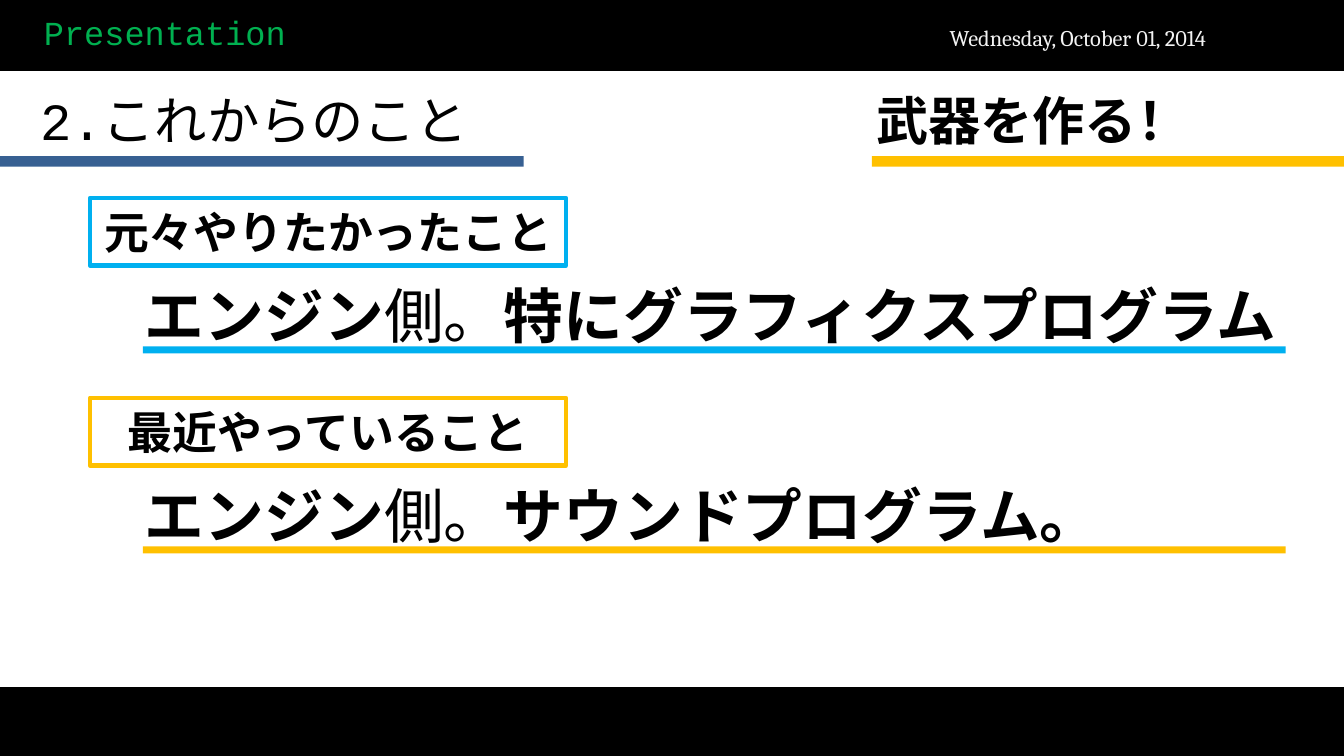
from dataclasses import dataclass

from pptx import Presentation
from pptx.dml.color import RGBColor
from pptx.enum.shapes import MSO_SHAPE as Preset
from pptx.enum.text import MSO_ANCHOR as Anchor, PP_ALIGN as Align
from pptx.util import Cm, Pt

COLORS = {
    "black": "000000",
    "green": "00B050",
    "pale": "F2F2F2",
    "navy": "376092",
    "amber": "FFC000",
    "sky": "00B0F0",
}
SLIDE_WIDTH, SLIDE_HEIGHT = 25.4, 14.29
BAND_HEIGHT = 1.27


@dataclass(frozen=True)
class Box:
    """Position and size in centimetres."""
    left: float
    top: float
    width: float
    height: float

    def lengths(self) -> list:
        return [Cm(value) for value in (self.left, self.top, self.width, self.height)]


@dataclass(frozen=True)
class Run:
    text: str
    size: float
    color: str = "black"
    bold: bool = False
    font: str = "Courier New"


@dataclass(frozen=True)
class Heading:
    run: Run
    text_box: Box
    bar: Box
    color: str


@dataclass(frozen=True)
class Topic:
    top: float
    color: str
    label: str
    detail: str


HEADINGS = [
    Heading(Run("2.これからのこと", 28), Box(0.51, 1.55, 9.4, 1.42),
            Box(0, 2.95, 9.9, 0.2), "navy"),
    Heading(Run("武器を作る！", 28, bold=True), Box(16.31, 1.55, 9.09, 1.42),
            Box(16.48, 2.95, 8.92, 0.2), "amber"),
]
TOPICS = [
    Topic(3.74, "sky", "元々やりたかったこと", "特にグラフィクスプログラム"),
    Topic(7.52, "amber", "最近やっていること", "サウンドプログラム。"),
]


def rgb(name: str) -> RGBColor:
    return RGBColor.from_string(COLORS[name])


def write(shape, runs: list[Run], anchor=Anchor.TOP, align=Align.LEFT) -> None:
    frame = shape.text_frame
    frame.word_wrap = True
    frame.vertical_anchor = anchor
    paragraph = frame.paragraphs[0]
    paragraph.alignment = align
    for item in runs:
        run = paragraph.add_run()
        run.text = item.text
        run.font.name = item.font
        run.font.size = Pt(item.size)
        run.font.bold = item.bold
        run.font.color.rgb = rgb(item.color)


def add_text(slide, box: Box, runs: list[Run], anchor=Anchor.TOP) -> None:
    write(slide.shapes.add_textbox(*box.lengths()), runs, anchor)


def add_rectangle(slide, box: Box, fill: str = "", line: str = "", weight: float = 0):
    shape = slide.shapes.add_shape(Preset.RECTANGLE, *box.lengths())
    shape.shadow.inherit = False
    if fill:
        shape.fill.solid()
        shape.fill.fore_color.rgb = rgb(fill)
    else:
        shape.fill.background()
    if line:
        shape.line.color.rgb = rgb(line)
        shape.line.width = Pt(weight)
    else:
        shape.line.fill.background()
    return shape


def add_heading(slide, heading: Heading) -> None:
    add_rectangle(slide, heading.bar, heading.color)
    add_text(slide, heading.text_box, [heading.run], Anchor.MIDDLE)


def add_topic(slide, topic: Topic) -> None:
    label = add_rectangle(slide, Box(1.7, topic.top, 9, 1.28), line=topic.color, weight=2.25)
    write(label, [Run(topic.label, 24, bold=True)], align=Align.CENTER)
    add_text(slide, Box(2.49, topic.top + 1.41, 22.2, 1.62), [
        Run("エンジン", 32, bold=True),
        Run("側。", 32),
        Run(topic.detail, 32, bold=True),
    ])
    add_rectangle(slide, Box(2.7, topic.top + 2.81, 21.6, 0.13), topic.color)


def main() -> None:
    presentation = Presentation()
    presentation.slide_width = Cm(SLIDE_WIDTH)
    presentation.slide_height = Cm(SLIDE_HEIGHT)
    slide = presentation.slides.add_slide(presentation.slide_layouts[6])

    # Black bands at the top and bottom
    for top in (0.03, SLIDE_HEIGHT - BAND_HEIGHT):
        add_rectangle(slide, Box(0, top, SLIDE_WIDTH, BAND_HEIGHT), "black", "black", 2)

    # Deck name and date
    add_text(slide, Box(0.58, 0.1, 7.32, 1.02), [Run("Presentation", 18, "green")])
    add_text(slide, Box(17.7, 0.33, 6.81, 0.76),
             [Run("Wednesday, October 01, 2014", 12, "pale", font="Cambria")], Anchor.MIDDLE)

    # Underlined headings
    for heading in HEADINGS:
        add_heading(slide, heading)

    # Framed labels with underlined details
    for topic in TOPICS:
        add_topic(slide, topic)

    presentation.save("out.pptx")


if __name__ == "__main__":
    main()
